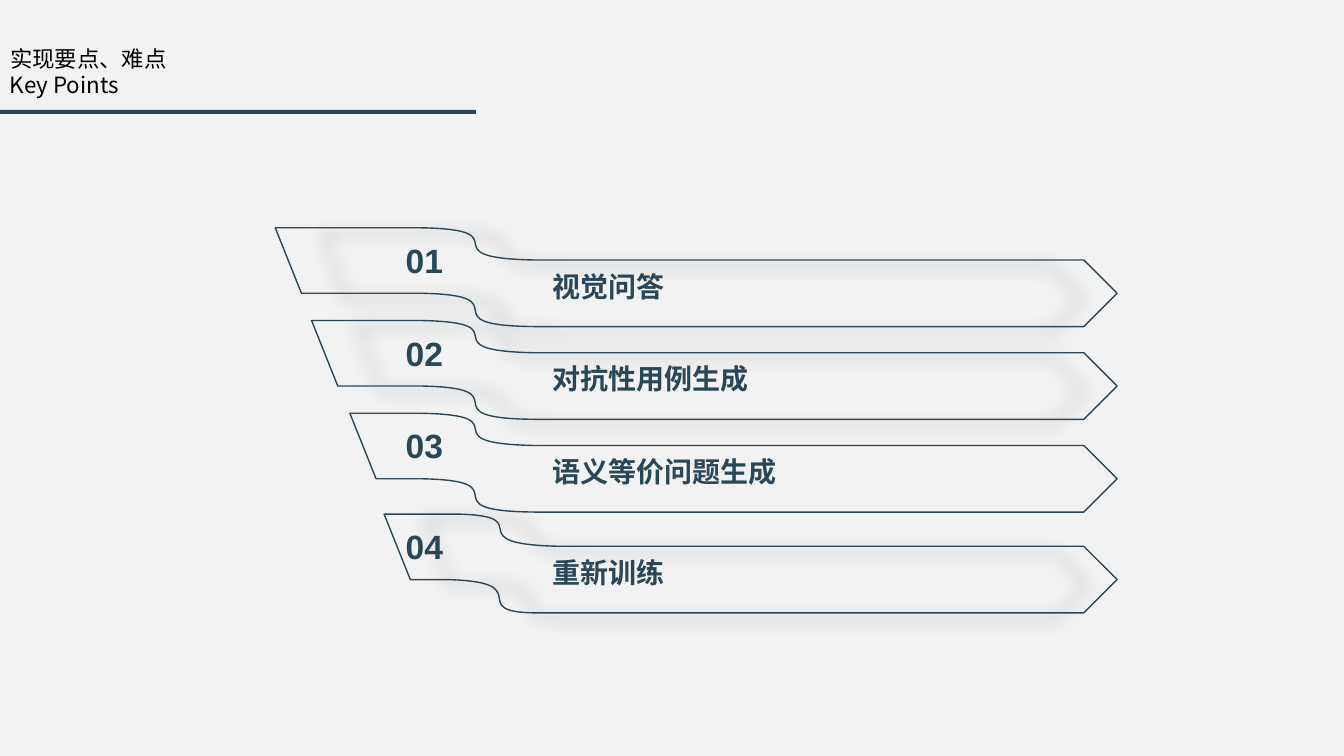
"""Build the key points slide: four numbered arrow banners under a ruled title."""
from lxml.etree import SubElement
from pptx import Presentation
from pptx.dml.color import RGBColor
from pptx.enum.shapes import MSO_SHAPE
from pptx.enum.text import MSO_ANCHOR, MSO_AUTO_SIZE, PP_ALIGN
from pptx.oxml.ns import qn
from pptx.util import Inches, Pt

NAVY = "2A4758"
CJK = "Noto Sans CJK SC"
WIDTH, HEIGHT = 13.33, 7.5


def color(hex_string):
    return RGBColor.from_string(hex_string)


def write(box, words, size, font_name, hex_string, bold=False, align=PP_ALIGN.LEFT, inset=0.05):
    frame = box.text_frame
    frame.word_wrap = True
    frame.auto_size = MSO_AUTO_SIZE.NONE
    frame.vertical_anchor = MSO_ANCHOR.TOP
    frame.margin_left = frame.margin_right = Inches(0.1)
    frame.margin_top = frame.margin_bottom = Inches(inset)
    frame.text = words
    paragraph = frame.paragraphs[0]
    paragraph.alignment = align
    font = paragraph.font
    font.size, font.bold = Pt(size), bold
    font.color.rgb = color(hex_string)
    font.name = font_name
    defaults = paragraph._p.pPr.find(qn("a:defRPr"))
    SubElement(defaults, qn("a:ea"), typeface=font_name)


prs = Presentation()
prs.slide_width, prs.slide_height = Inches(WIDTH), Inches(HEIGHT)
slide = prs.slides.add_slide(prs.slide_layouts[5])
shapes = slide.shapes
slide.background.fill.solid()
slide.background.fill.fore_color.rgb = color("F2F2F2")

title = shapes.title
title.left, title.top, title.width, title.height = map(Inches, (0, 0.4, 3.83, 0.37))
write(title, "实现要点、难点", 16, CJK, "000000")
subtitle = shapes.add_textbox(0, Inches(0.66), Inches(4.33), Inches(0.37))
write(subtitle, "Key Points", 16, CJK, "000000")

for half in range(2):
    rule = shapes.add_shape(
        MSO_SHAPE.RECTANGLE, Inches(2.36 * half), Inches(1.09), Inches(2.36), Inches(0.04))
    rule.shadow.inherit = False
    rule.fill.solid()
    rule.fill.fore_color.rgb = color(NAVY)
    rule.line.fill.background()

BAND, STEP = 0.65, 0.32
SHOULDER, TIP = 10.75, 11.08
BOTTOM = BAND + STEP + 0.01
BEND = (4.18, 5.21, 4.2, 5.31), (5.3, 4.2, 5.21, 4.18)
LAST_BEND = (4.54, 5.38, 4.49, 5.56), (5.3, 4.6, 5.36, 4.42)
points = [
    ("视觉问答", 2.73, 2.26, 2.25, BEND, True),
    ("对抗性用例生成", 3.09, 3.18, 3.42, BEND, True),
    ("语义等价问题生成", 3.47, 4.1, 2.83, BEND, False),
    ("重新训练", 3.81, 5.1, 2.25, LAST_BEND, True),
]

for number, (label, left, top, label_width, (upper, lower), shaded) in enumerate(points, 1):
    upper_bend = list(zip(upper, (0, 0.02, 0.3, STEP)))
    lower_bend = list(zip(lower, (BOTTOM, 0.97, 0.67, BAND)))
    arrow = [(SHOULDER, STEP), (TIP, BAND), (SHOULDER, BOTTOM)]
    outline = upper_bend + arrow + lower_bend + [(left + 0.26, BAND)]
    builder = shapes.build_freeform(Inches(left), Inches(top))
    builder.add_line_segments([(Inches(x), Inches(top + y)) for x, y in outline])
    banner = builder.convert_to_shape()
    banner.fill.background()
    banner.line.color.rgb = color(NAVY)
    banner.line.width = Pt(1)

    segments = list(banner._element.iter(qn("a:lnTo")))
    for first in (1, 8):
        controls = segments[first:first + 3]
        curve = controls[0].makeelement(qn("a:cubicBezTo"))
        controls[0].addprevious(curve)
        for segment in controls:
            curve.append(segment[0])
            segment.getparent().remove(segment)

    banner.shadow.inherit = False
    if shaded:
        effects = banner._element.spPr.find(qn("a:effectLst"))
        shadow = SubElement(
            effects, qn("a:outerShdw"), blurRad=str(Pt(12)), dist=str(Pt(5)), dir="2700000",
            sx="90000", sy="100000", algn="ctr", rotWithShape="0")
        tint = SubElement(shadow, qn("a:srgbClr"), val="000000")
        SubElement(tint, qn("a:alpha"), val="50000")

    numeral = shapes.add_textbox(Inches(3.88), Inches(top + 0.07), Inches(0.66), Inches(0.51))
    write(numeral, f"{number:02}", 24, "Arial", NAVY, True, PP_ALIGN.CENTER)
    caption = shapes.add_textbox(
        Inches(5.38), Inches(top + 0.41), Inches(label_width), Inches(0.28))
    write(caption, label, 20, CJK, NAVY, True, inset=0)

prs.save("out.pptx")
